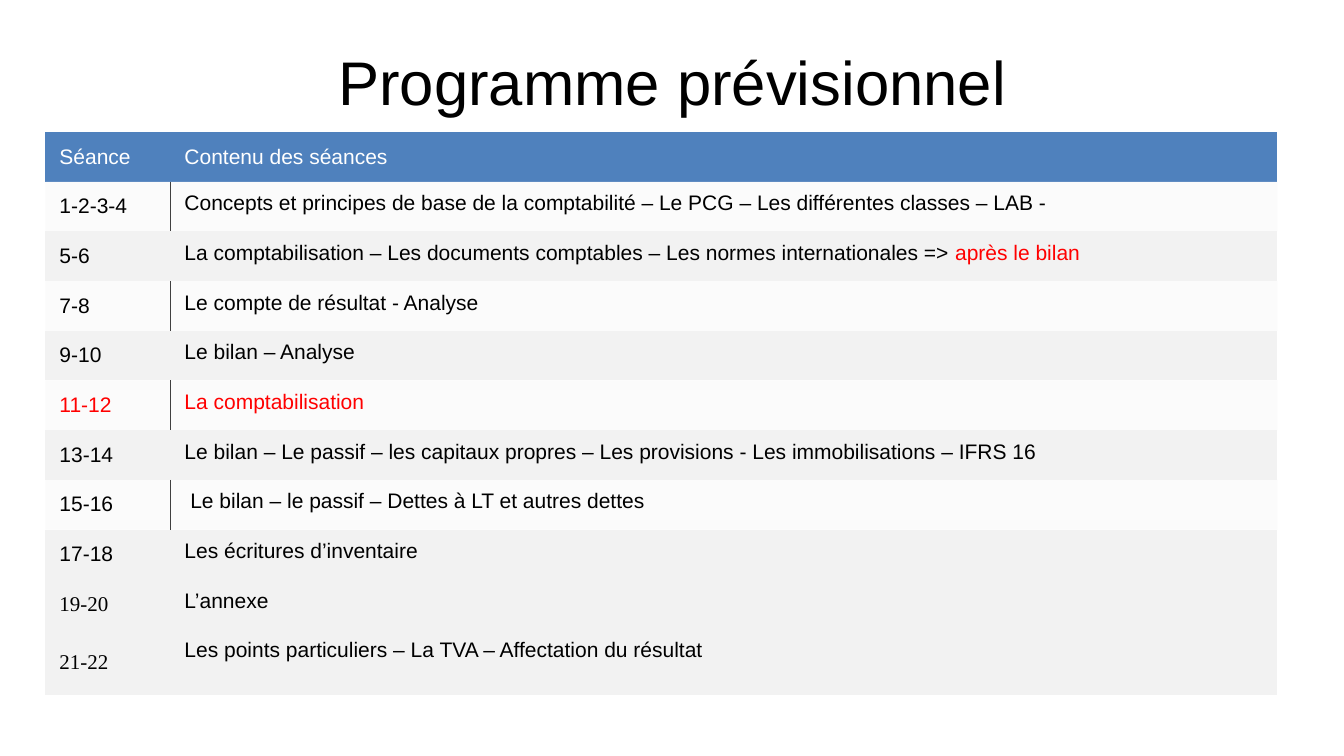
from lxml.etree import SubElement
from pptx import Presentation
from pptx.dml.color import RGBColor
from pptx.enum.text import MSO_ANCHOR, PP_ALIGN
from pptx.oxml import parse_xml
from pptx.oxml.ns import nsdecls, qn
from pptx.util import Inches, Pt

COLORS = {"header": "4F81BD", "band": "F2F2F2", "rule": "404040",
          "black": "000000", "white": "FFFFFF", "red": "FF0000"}
NO_GRID_STYLE = "{2D5ABB26-0587-4C30-8999-92F81FD0307C}"
COLUMN_WIDTHS = [1.24, 10.98]
ROW_HEIGHT, LAST_ROW_HEIGHT = 0.493, 0.66

# Each cell is a list of (wording, colour) spans
SESSIONS = [
    ([("Séance", "white")], [("Contenu des séances", "white")]),
    ([("1-2-3-4", "black")],
     [("Concepts et principes de base de la comptabilité – Le PCG – Les différentes classes – LAB -", "black")]),
    ([("5-6", "black")],
     [("La comptabilisation – Les documents comptables – Les normes internationales => ", "black"),
      ("après le bilan", "red")]),
    ([("7-8", "black")], [("Le compte de résultat - Analyse", "black")]),
    ([("9-10", "black")], [("Le bilan – Analyse", "black")]),
    ([("11-12", "red")], [("La comptabilisation", "red")]),
    ([("13-14", "black")],
     [("Le bilan – Le passif – les capitaux propres – Les provisions - Les immobilisations – IFRS 16", "black")]),
    ([("15-16", "black")], [(" Le bilan – le passif – Dettes à LT et autres dettes", "black")]),
    ([("17-18", "black")], [("Les écritures d’inventaire", "black")]),
    ([("19-20", "black")], [("L’annexe", "black")]),
    ([("21-22", "black")], [("Les points particuliers – La TVA – Affectation du résultat", "black")]),
]
SERIF_SESSIONS = {"19-20", "21-22"}


def add_span(para, wording, size, color, font="Arial"):
    span = para.add_run()
    span.text = wording
    span.font.size = Pt(size)
    span.font.name = font
    span.font.bold = False
    span.font.color.rgb = RGBColor.from_string(COLORS[color])


deck = Presentation()
deck.slide_width, deck.slide_height = Inches(13.33), Inches(7.5)
page = deck.slides.add_slide(deck.slide_layouts[6])

# Title
box = page.shapes.add_textbox(Inches(0.67), Inches(0.3), Inches(12), Inches(1))
box.text_frame.word_wrap = True
box.text_frame.vertical_anchor = MSO_ANCHOR.MIDDLE
title = box.text_frame.paragraphs[0]
title.alignment = PP_ALIGN.CENTER
add_span(title, "Programme prévisionnel", 44, "black")

# Table frame
table_height = ROW_HEIGHT * (len(SESSIONS) - 1) + LAST_ROW_HEIGHT
table = page.shapes.add_table(len(SESSIONS), 2, Inches(0.45), Inches(1.31),
                              Inches(sum(COLUMN_WIDTHS)), Inches(table_height)).table
table.first_row = table.horz_banding = False
table._tbl.tblPr.find(qn("a:tableStyleId")).text = NO_GRID_STYLE
for column, width in zip(table.columns, COLUMN_WIDTHS):
    column.width = Inches(width)
for row in table.rows:
    row.height = Inches(ROW_HEIGHT)
table.rows[len(SESSIONS) - 1].height = Inches(LAST_ROW_HEIGHT)

# Table cells
for row_index, session in enumerate(SESSIONS):
    is_header = row_index == 0
    is_light = row_index in (1, 3, 5, 7)
    for column_index, spans in enumerate(session):
        cell = table.cell(row_index, column_index)
        cell.margin_left, cell.margin_right = Inches(0.14), Inches(0.08)
        cell.margin_top = cell.margin_bottom = Inches(0.1)
        centred = is_header or column_index == 0
        cell.vertical_anchor = MSO_ANCHOR.MIDDLE if centred else MSO_ANCHOR.TOP
        para = cell.text_frame.paragraphs[0]
        para.alignment = PP_ALIGN.LEFT if centred else PP_ALIGN.JUSTIFY
        for wording, color in spans:
            font = "Times New Roman" if wording in SERIF_SESSIONS else "Arial"
            add_span(para, wording, 15, color, font)

        cell.fill.solid()
        cell.fill.fore_color.rgb = RGBColor.from_string(COLORS["header" if is_header else "band"])
        if is_light:
            # Translucent fill and a thin rule between the two columns
            properties = cell._tc.tcPr
            shade = properties.find(qn("a:solidFill")).find(qn("a:srgbClr"))
            SubElement(shade, qn("a:alpha")).set("val", "30000")
            side = "lnR" if column_index == 0 else "lnL"
            properties.insert(0, parse_xml(
                f'<a:{side} {nsdecls("a")} w="{Pt(0.5)}"><a:solidFill>'
                f'<a:srgbClr val="{COLORS["rule"]}"/></a:solidFill></a:{side}>'))

deck.save("out.pptx")
